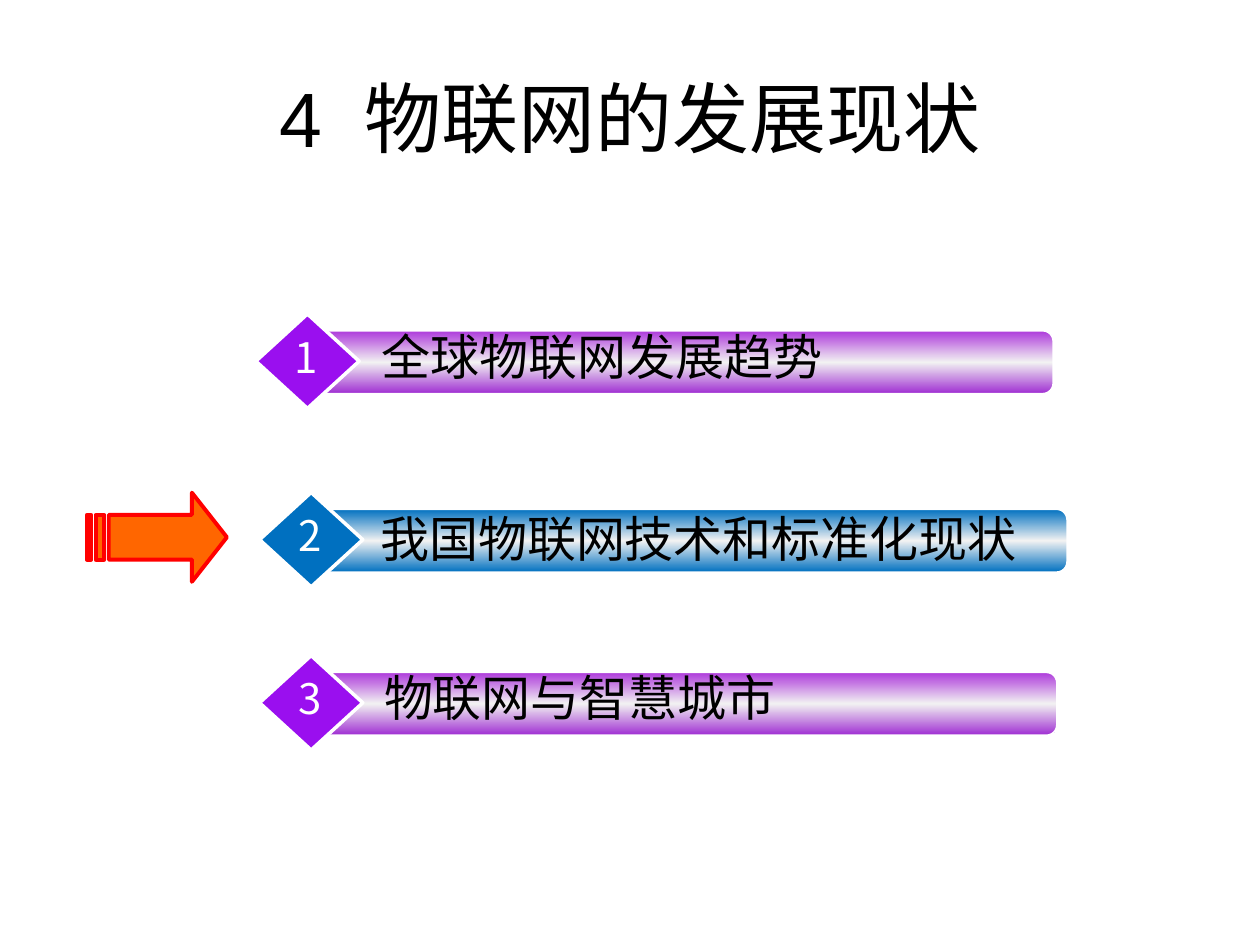
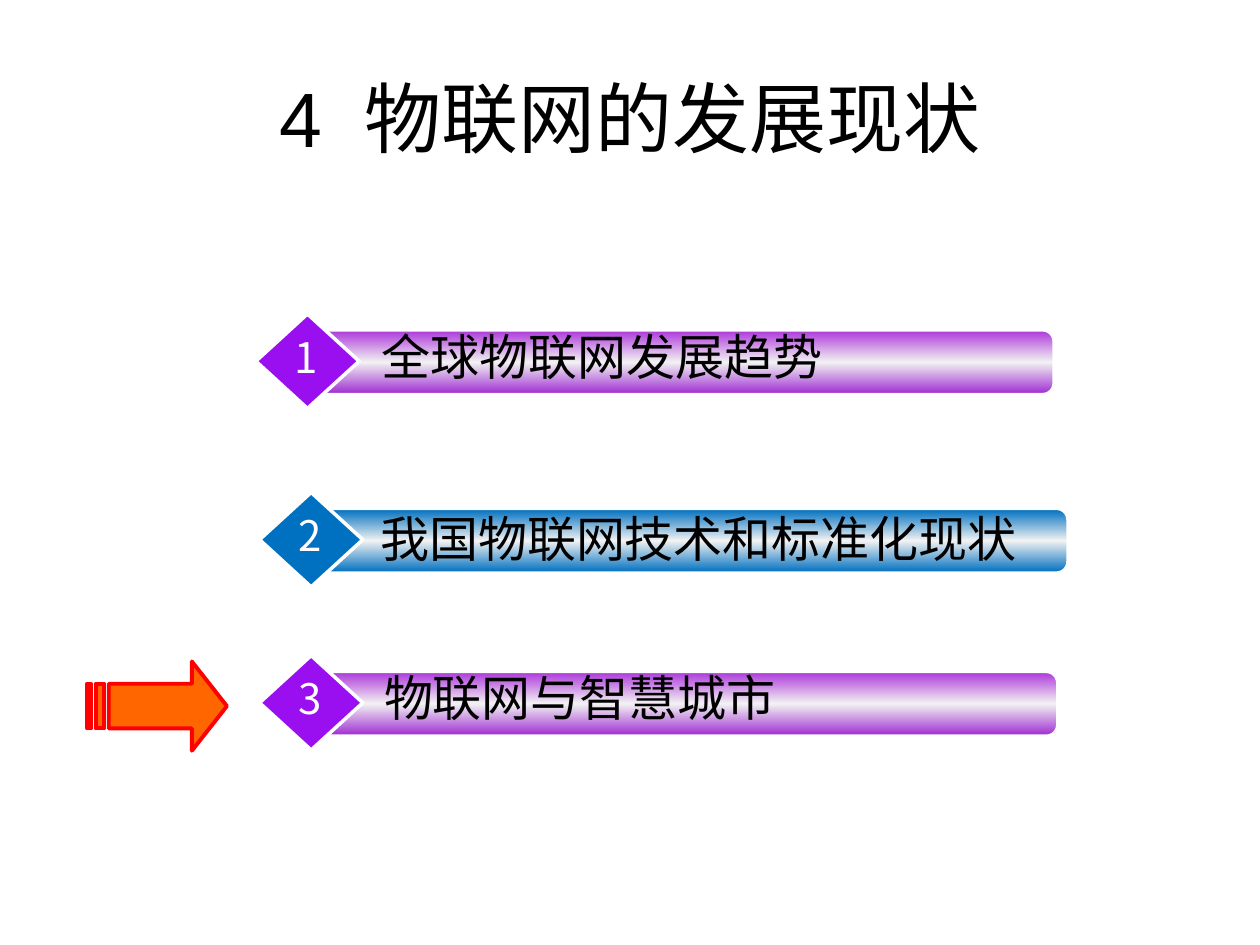
from dataclasses import dataclass

from lxml.etree import SubElement
from pptx import Presentation
from pptx.dml.color import RGBColor
from pptx.enum.shapes import MSO_SHAPE
from pptx.enum.text import MSO_ANCHOR, PP_ALIGN
from pptx.oxml.ns import qn
from pptx.util import Pt


@dataclass(frozen=True)
class Theme:
    latin: str = "Arial"
    chinese: str = "Noto Sans CJK SC"
    title_size: int = 44
    label_size: int = 28
    number_size: int = 24
    ink: str = "000000"
    white: str = "FFFFFF"
    arrow_fill: str = "FF6600"
    arrow_line: str = "FF0000"
    purple: str = "9A0FEF"
    purple_bar: tuple = ("AD39DB", "F2F2F2", "9F2ED2")
    blue: str = "0070C0"
    blue_bar: tuple = ("0070C0", "F2F2F2", "0070C0")


@dataclass(frozen=True)
class Topic:
    label: str
    left: float
    top: float
    bar_width: float
    label_offset: tuple
    color: str
    bar_colors: tuple


THEME = Theme()
TITLE = ("4", " ", "物联网的发展现状")
TOPICS = (
    Topic("全球物联网发展趋势", 146.2, 179.4, 422.6, (64.8, 3.6), THEME.purple, THEME.purple_bar),
    Topic("我国物联网技术和标准化现状", 148.3, 281.4, 428.4, (62, 5.8), THEME.blue, THEME.blue_bar),
    Topic("物联网与智慧城市", 148.3, 374.6, 422.6, (64.1, 3.4), THEME.purple, THEME.purple_bar),
)
ARROW_TOPS = (281.5, 378)


def style_paragraph(paragraph, size, color, latin, align=PP_ALIGN.LEFT):
    paragraph.alignment = align
    paragraph.font.size = Pt(size)
    paragraph.font.name = latin
    paragraph.font.color.rgb = RGBColor.from_string(color)
    properties = paragraph._p.pPr.find(qn("a:defRPr"))
    SubElement(properties, qn("a:ea")).set("typeface", THEME.chinese)


def style_line(shape, color, width):
    shape.shadow.inherit = False
    shape.line.color.rgb = RGBColor.from_string(color)
    shape.line.width = Pt(width)


def add_title(page):
    title = page.shapes.title
    title.left, title.top, title.width, title.height = Pt(36), Pt(21.6), Pt(648), Pt(90)
    title.text_frame.vertical_anchor = MSO_ANCHOR.MIDDLE
    paragraph = title.text_frame.paragraphs[0]
    for text in TITLE:
        span = paragraph.add_run()
        span.text = text
        if text == " ":
            span.font._element.set("spc", "1200")
    style_paragraph(paragraph, THEME.title_size, THEME.ink, THEME.latin, PP_ALIGN.CENTER)


def add_text(group, text, left, top, width, height, size, color, latin, wrap=True):
    box = group.shapes.add_textbox(Pt(left), Pt(top), Pt(width), Pt(height))
    box.text_frame.word_wrap = wrap
    paragraph = box.text_frame.paragraphs[0]
    paragraph.text = text
    style_paragraph(paragraph, size, color, latin)


def add_bar(group, left, top, width, colors):
    bar = group.shapes.add_shape(
        MSO_SHAPE.ROUNDED_RECTANGLE, Pt(left), Pt(top), Pt(width), Pt(36)
    )
    style_line(bar, THEME.white, 1)
    bar.fill.gradient()
    bar.fill.gradient_angle = 270
    stops = bar.fill._fill._gradFill.find(qn("a:gsLst"))
    for stop in list(stops):
        stops.remove(stop)
    for position, color in zip((0, 50000, 100000), colors):
        stop = SubElement(stops, qn("a:gs"), pos=str(position))
        SubElement(stop, qn("a:srgbClr"), val=color)


def add_diamond(group, left, top, color):
    diamond = group.shapes.add_shape(MSO_SHAPE.DIAMOND, Pt(left), Pt(top), Pt(59), Pt(54))
    style_line(diamond, THEME.white, 2)
    diamond.fill.solid()
    diamond.fill.fore_color.rgb = RGBColor.from_string(color)


def add_topic(page, number, topic):
    group = page.shapes.add_group_shape()
    left, top = topic.left, topic.top
    label_x, label_y = topic.label_offset
    add_bar(group, left + 33.1, top + 9.6, topic.bar_width, topic.bar_colors)
    add_diamond(group, left, top, topic.color)
    add_text(group, topic.label, left + label_x, top + label_y, 382, 41,
             THEME.label_size, THEME.ink, THEME.latin)
    add_text(group, str(number), left + 15.1, top + 6.4, 26.6, 36.7,
             THEME.number_size, THEME.white, THEME.chinese, wrap=False)


def add_striped_arrow(page, top):
    left, width, height = 49.7, 80, 51
    stripe = width / 32
    upper, lower = height / 4, height * 3 / 4
    neck, body = width * 3 / 4, stripe * 5
    outlines = [
        [(neck, 0), (neck, upper), (body, upper), (body, lower),
         (neck, lower), (neck, height), (width, height / 2)],
    ]
    for start, end in ((stripe * 2, stripe * 4), (0, stripe)):
        outlines.append([(start, upper), (start, lower), (end, lower), (end, upper)])
    builder = None
    for outline in outlines:
        first, *others = [(Pt(left + x), Pt(top + y)) for x, y in outline]
        if builder is None:
            builder = page.shapes.build_freeform(*first)
        else:
            builder.move_to(*first)
        builder.add_line_segments(others, close=True)
    arrow = builder.convert_to_shape()
    style_line(arrow, THEME.arrow_line, 2.25)
    arrow.fill.solid()
    arrow.fill.fore_color.rgb = RGBColor.from_string(THEME.arrow_fill)


def main():
    deck = Presentation()
    deck.slide_width, deck.slide_height = Pt(720), Pt(540)
    for arrow_top in ARROW_TOPS:
        page = deck.slides.add_slide(deck.slide_layouts[5])
        add_title(page)
        add_striped_arrow(page, arrow_top)
        for number, topic in enumerate(TOPICS, start=1):
            add_topic(page, number, topic)
    deck.save("out.pptx")


if __name__ == "__main__":
    main()
